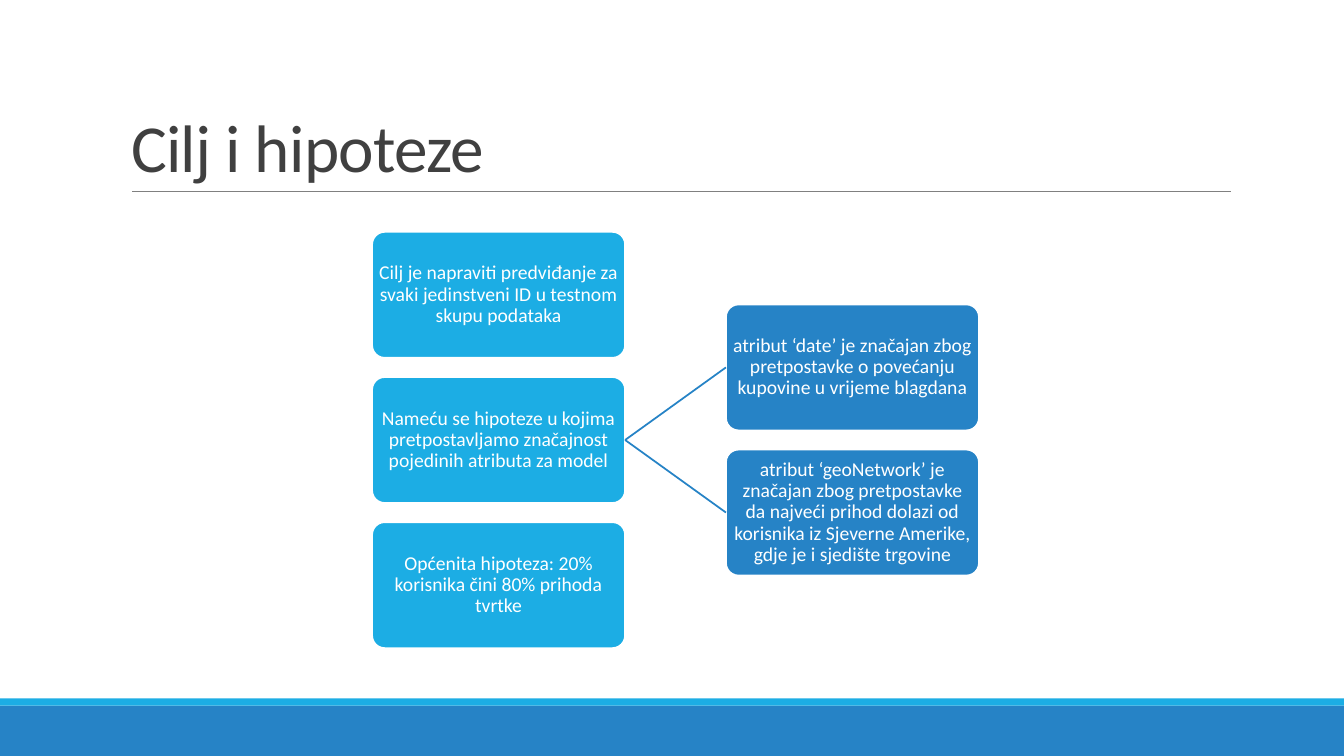
from dataclasses import dataclass

from pptx import Presentation
from pptx.dml.color import RGBColor
from pptx.enum.shapes import MSO_CONNECTOR, MSO_SHAPE
from pptx.enum.text import MSO_ANCHOR, MSO_AUTO_SIZE, PP_ALIGN
from pptx.oxml.ns import qn
from pptx.util import Inches, Pt
from lxml import etree


@dataclass(frozen=True)
class Theme:
    font: str = "Calibri"
    title_size: float = 48
    box_size: float = 14
    line_width: float = 1.25
    rule_width: float = 0.5
    cyan: str = "1CADE4"
    blue: str = "2683C6"
    white: str = "FFFFFF"
    dark: str = "404040"
    gray: str = "808080"


def rgb(color):
    return RGBColor.from_string(color)


class SlideBuilder:
    def __init__(self, prs, theme):
        self.theme = theme
        self.s = prs.slides.add_slide(prs.slide_layouts[5])

    def style_paragraph(self, p, size, color, align, spacing):
        p.alignment = align
        p.line_spacing = spacing
        p.font.name = self.theme.font
        p.font.size = Pt(size)
        p.font.color.rgb = rgb(color)

    def title(self, text, left, top, width, height):
        sp = self.s.shapes.title
        sp.left, sp.top = Inches(left), Inches(top)
        sp.width, sp.height = Inches(width), Inches(height)
        tf = sp.text_frame
        tf.text = text
        tf.auto_size = MSO_AUTO_SIZE.NONE
        tf.vertical_anchor = MSO_ANCHOR.BOTTOM
        p = tf.paragraphs[0]
        self.style_paragraph(p, self.theme.title_size, self.theme.dark,
                             PP_ALIGN.LEFT, 0.85)
        p.runs[0].font._element.set("spc", "-50")

    def shape(self, kind, fill, left, top, width, height):
        sp = self.s.shapes.add_shape(kind, Inches(left), Inches(top),
                                     Inches(width), Inches(height))
        sp.shadow.inherit = False
        sp.fill.solid()
        sp.fill.fore_color.rgb = rgb(fill)
        return sp

    def band(self, fill, top, height):
        sp = self.shape(MSO_SHAPE.RECTANGLE, fill, 0, top, 13.33, height)
        sp.line.fill.background()

    def box(self, text, fill, left, top, width, height):
        sp = self.shape(MSO_SHAPE.ROUNDED_RECTANGLE, fill,
                        left, top, width, height)
        sp.adjustments[0] = 0.1
        sp.line.color.rgb = rgb(self.theme.white)
        sp.line.width = Pt(self.theme.line_width)
        tf = sp.text_frame
        tf.text = text
        tf.word_wrap = True
        tf.vertical_anchor = MSO_ANCHOR.MIDDLE
        tf.margin_left = tf.margin_right = Inches(0.01)
        tf.margin_top = tf.margin_bottom = Inches(0.01)
        self.style_paragraph(tf.paragraphs[0], self.theme.box_size,
                             self.theme.white, PP_ALIGN.CENTER, 0.9)
        return sp

    def line(self, color, width, x1=0, y1=0, x2=0, y2=0):
        cxn = self.s.shapes.add_connector(
            MSO_CONNECTOR.STRAIGHT,
            Inches(x1), Inches(y1), Inches(x2), Inches(y2))
        cxn.line.color.rgb = rgb(color)
        cxn.line.width = Pt(width)
        etree.SubElement(cxn._element.spPr, qn("a:effectLst"))
        return cxn

    def join(self, parent, child):
        """Connect the parent's right side to the child's left side."""
        cxn = self.line(self.theme.blue, self.theme.line_width)
        cxn.begin_connect(parent, 3)
        cxn.end_connect(child, 1)


GOALS = [
    "Cilj je napraviti predviđanje za svaki jedinstveni ID u testnom skupu podataka",
    "Nameću se hipoteze u kojima pretpostavljamo značajnost pojedinih atributa za model",
    "Općenita hipoteza: 20% korisnika čini 80% prihoda tvrtke",
]
ATTRIBUTES = [
    "atribut ‘date’ je značajan zbog pretpostavke o povećanju kupovine u vrijeme blagdana",
    "atribut ‘geoNetwork’ je značajan zbog pretpostavke da najveći prihod dolazi od "
    "korisnika iz Sjeverne Amerike, gdje je i sjedište trgovine",
]
BOX_SIZE = (2.51, 1.25)
ROW_PITCH = 1.44
GOALS_LEFT, GOALS_TOP = 3.69, 2.3
ATTRIBUTES_LEFT = 7.2


def main():
    prs = Presentation()
    prs.slide_width, prs.slide_height = Inches(13.33), Inches(7.5)
    theme = Theme()
    slide = SlideBuilder(prs, theme)

    slide.band(theme.blue, 7, 0.5)
    slide.band(theme.cyan, 6.93, 0.07)
    slide.line(theme.gray, theme.rule_width, 1.31, 1.9, 12.21, 1.9)
    slide.title("Cilj i hipoteze", 1.2, 0.31, 11, 1.59)

    goals = [slide.box(text, theme.cyan, GOALS_LEFT,
                       GOALS_TOP + i * ROW_PITCH, *BOX_SIZE)
             for i, text in enumerate(GOALS)]
    for i, text in enumerate(ATTRIBUTES):
        top = GOALS_TOP + (i + 0.5) * ROW_PITCH
        attribute = slide.box(text, theme.blue, ATTRIBUTES_LEFT, top, *BOX_SIZE)
        slide.join(goals[1], attribute)

    prs.save("out.pptx")


if __name__ == "__main__":
    main()
